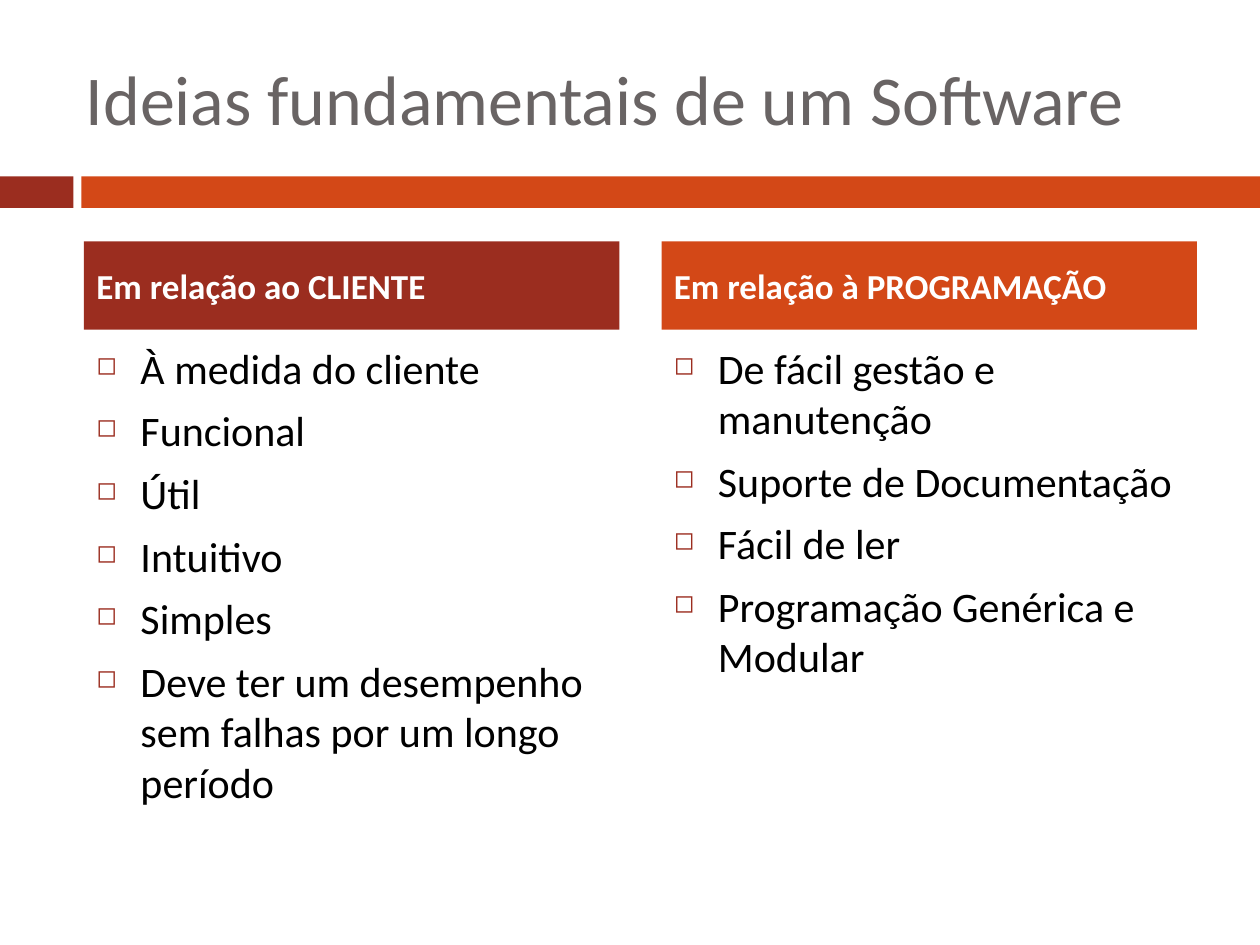
from dataclasses import dataclass

from lxml.etree import SubElement
from pptx import Presentation
from pptx.dml.color import RGBColor
from pptx.enum.shapes import MSO_SHAPE
from pptx.enum.text import MSO_ANCHOR, PP_ALIGN
from pptx.oxml.ns import qn
from pptx.util import Pt

RED = RGBColor(0x9B, 0x2D, 0x1F)
ORANGE = RGBColor(0xD3, 0x48, 0x17)
GRAY = RGBColor(0x69, 0x64, 0x64)
BLACK = RGBColor(0, 0, 0)
WHITE = RGBColor(255, 255, 255)
FONT = "Calibri"
INDENT = 25.2


@dataclass(frozen=True)
class Column:
    left: float
    body_width: float
    color: RGBColor
    heading: str
    items: tuple[str, ...]


COLUMNS = (
    Column(48, 306, RED, "Em relação ao CLIENTE", (
        "À medida do cliente",
        "Funcional",
        "Útil",
        "Intuitivo",
        "Simples",
        "Deve ter um desempenho sem falhas por um longo período",
    )),
    Column(378, 299.5, ORANGE, "Em relação à PROGRAMAÇÃO", (
        "De fácil gestão e manutenção",
        "Suporte de Documentação",
        "Fácil de ler",
        "Programação Genérica e Modular",
    )),
)


def add_bullet(p) -> None:
    pPr = p._p.get_or_add_pPr()
    pPr.set("marL", str(Pt(INDENT)))
    pPr.set("indent", str(-Pt(INDENT)))
    color = SubElement(pPr, qn("a:buClr"))
    SubElement(color, qn("a:srgbClr"), val=str(RED))
    SubElement(pPr, qn("a:buSzPct"), val="60000")
    SubElement(pPr, qn("a:buChar"), char="◻")


def write_text(sp, *lines: str, size: float, color: RGBColor, bold: bool = False,
               before: float = 0, anchor=MSO_ANCHOR.MIDDLE, bullets: bool = False) -> None:
    tf = sp.text_frame
    tf.word_wrap = True
    tf.vertical_anchor = anchor
    for i, line in enumerate(lines):
        p = tf.add_paragraph() if i else tf.paragraphs[0]
        p.alignment = PP_ALIGN.LEFT
        p.space_before = Pt(before)
        if bullets:
            add_bullet(p)
        r = p.add_run()
        r.text = line
        r.font.name = FONT
        r.font.size = Pt(size)
        r.font.bold = bold
        r.font.color.rgb = color


def add_box(s, left: float, top: float, width: float, height: float, color: RGBColor):
    sp = s.shapes.add_shape(MSO_SHAPE.RECTANGLE, Pt(left), Pt(top), Pt(width), Pt(height))
    sp.shadow.inherit = False
    sp.fill.solid()
    sp.fill.fore_color.rgb = color
    sp.line.fill.background()
    return sp


def add_text_area(s, left: float, top: float, width: float, height: float):
    return s.shapes.add_textbox(Pt(left), Pt(top), Pt(width), Pt(height))


def add_column(s, column: Column) -> None:
    body = add_text_area(s, column.left, 192, column.body_width, 282)
    write_text(body, *column.items, size=24, color=BLACK, before=7,
               anchor=MSO_ANCHOR.TOP, bullets=True)
    heading = add_box(s, column.left, 138, 306, 50.4, column.color)
    write_text(heading, column.heading, size=20, color=WHITE, bold=True, before=7)


prs = Presentation()
prs.slide_width, prs.slide_height = Pt(720), Pt(540)
s = prs.slides.add_slide(prs.slide_layouts[6])

add_box(s, 0, 100.8, 42, 18, RED)
add_box(s, 46.5, 100.8, 673.5, 18, ORANGE)
title = add_text_area(s, 42, 21.6, 642, 68.4)
write_text(title, "Ideias fundamentais de um Software", size=40, color=GRAY)
for column in COLUMNS:
    add_column(s, column)

prs.save("out.pptx")
